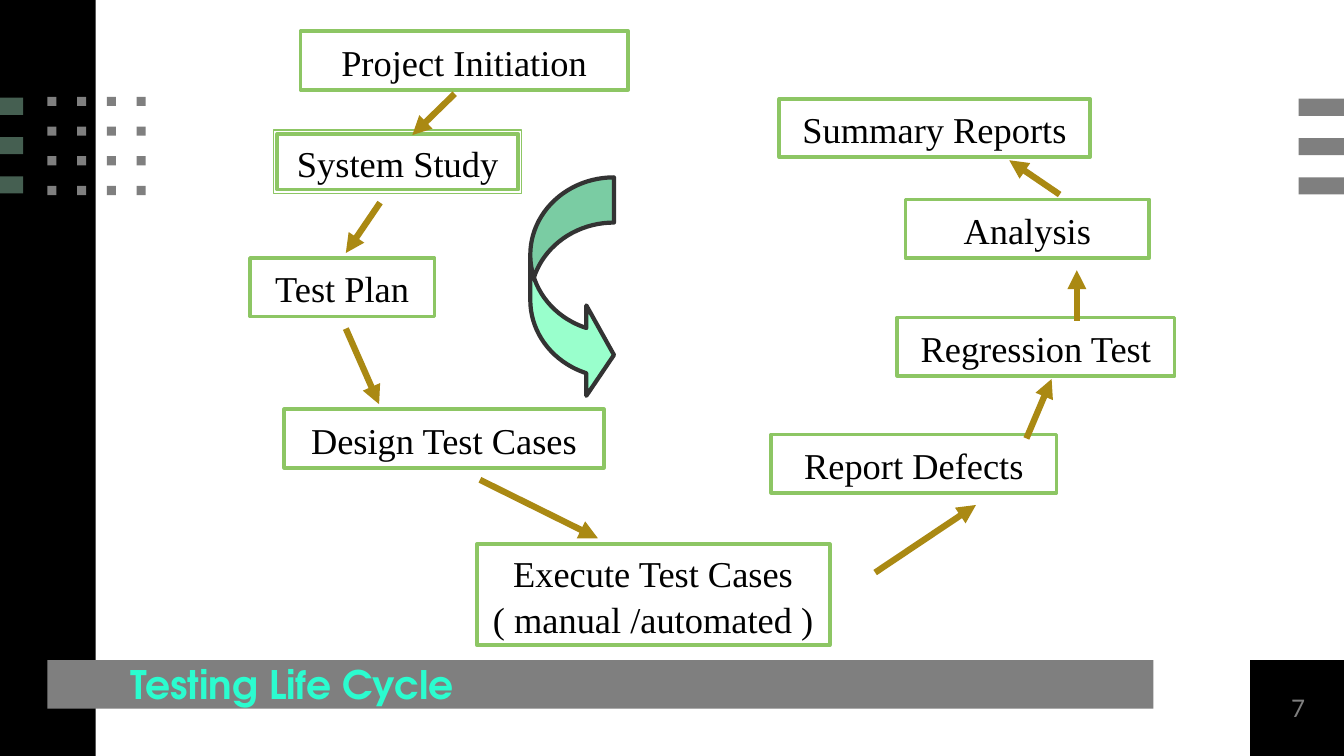
from dataclasses import dataclass
from itertools import product

from lxml import etree
from pptx import Presentation
from pptx.dml.color import RGBColor
from pptx.enum import shapes, text
from pptx.oxml.ns import qn
from pptx.util import Inches, Pt


@dataclass(frozen=True)
class Theme:
    black: str = "000000"
    white: str = "FFFFFF"
    gray: str = "7F7F7F"
    pine: str = "455F51"
    frame: str = "8DC664"
    arrow: str = "AA8913"
    mint: str = "99FFCC"
    ink: str = "333333"
    title: str = "2BFCCF"
    title_font: str = "TeX Gyre Adventor"
    body_font: str = "Times New Roman"
    number_font: str = "Lato"
    title_pt: float = 28
    body_pt: float = 26
    number_pt: float = 17.3
    frame_pt: float = 2.7
    hairline_pt: float = 0.75
    arrow_pt: float = 4.5
    curve_pt: float = 3


T = Theme()
TITLE = "Testing Life Cycle"
PAGE = "7"

# label, (left, top, width, height)
STEPS = [
    ("Project Initiation", (2.98, 0.31, 3.25, 0.58)),
    ("System Study", (2.75, 1.33, 2.39, 0.55)),
    ("Test Plan", (2.48, 2.56, 1.83, 0.58)),
    ("Design Test Cases", (2.82, 4.06, 3.17, 0.58)),
    ("Execute Test Cases\v( manual /automated )", (4.73, 5.4, 3.5, 1)),
    ("Report Defects", (7.65, 4.31, 2.83, 0.58)),
    ("Regression Test", (8.9, 3.15, 2.75, 0.58)),
    ("Analysis", (8.98, 1.98, 2.42, 0.58)),
    ("Summary Reports", (7.73, 0.98, 3.08, 0.58)),
]
STUDY_OUTER_FRAME = (2.71, 1.29, 2.46, 0.63)

# from x, from y, to x, to y
ARROWS = [
    (4.51, 0.93, 4.09, 1.34),
    (3.77, 2.01, 3.43, 2.51),
    (3.43, 3.26, 3.76, 4.01),
    (4.76, 4.76, 5.93, 5.34),
    (8.68, 5.68, 9.68, 5.01),
    (10.18, 4.35, 10.43, 3.76),
    (10.68, 3.18, 10.68, 2.68),
    (10.51, 1.93, 10.01, 1.59),
]

CYCLE_ARROW = (5.26, 1.76, 0.83, 2.21)
CYCLE_ADJUSTMENTS = (0.54, 1.08, 0.33)  # band, head width, head length

SIDE_PANEL = (0, 0, 0.95, 7.5)
TITLE_BAR = (0.47, 6.55, 10.97, 0.48)
TITLE_BOX = (0.95, 6.51, 10.49, 0.48)
PAGE_BOX = (12.4, 6.55, 0.95, 0.95)
STRIPE_PITCH, STRIPE_HEIGHT, STRIPE_COUNT = 0.39, 0.17, 3
STRIPES = [(0, 0.97, 0.23, T.pine), (12.88, 0.98, 0.45, T.gray)]
DOT_ORIGIN, DOT_PITCH, DOT_SIZE, DOT_COUNT = (0.47, 0.96), 0.295, 0.09, 4


def rgb(value):
    return RGBColor.from_string(value)


def add_shape(s, box, fill=None, line=None, width=0,
              kind=shapes.MSO_SHAPE.RECTANGLE):
    sp = s.shapes.add_shape(kind, *map(Inches, box))
    sp.shadow.inherit = False
    if fill:
        sp.fill.solid()
        sp.fill.fore_color.rgb = rgb(fill)
    else:
        sp.fill.background()
    if line:
        sp.line.color.rgb = rgb(line)
        sp.line.width = Pt(width)
    else:
        sp.line.fill.background()
    return sp


def set_text(sp, words, font, size, color, align=text.PP_ALIGN.CENTER):
    """Fill the frame with one paragraph, without insets, and return it."""
    tf = sp.text_frame
    tf.text = words
    tf.word_wrap = True
    tf.auto_size = text.MSO_AUTO_SIZE.NONE
    tf.vertical_anchor = text.MSO_ANCHOR.MIDDLE
    tf.margin_left = tf.margin_right = tf.margin_top = tf.margin_bottom = 0
    p = tf.paragraphs[0]
    p.alignment = align
    p.font.name = font
    p.font.size = Pt(size)
    p.font.color.rgb = rgb(color)
    return p


def add_arrow(s, ends):
    cx = s.shapes.add_connector(shapes.MSO_CONNECTOR.STRAIGHT,
                                *map(Inches, ends))
    cx.line.color.rgb = rgb(T.arrow)
    cx.line.width = Pt(T.arrow_pt)
    etree.SubElement(cx.line._get_or_add_ln(), qn("a:tailEnd"),
                     type="triangle", w="med", len="med")
    etree.SubElement(cx.element.spPr, qn("a:effectLst"))


def add_decoration(s):
    add_shape(s, SIDE_PANEL, T.black)
    add_shape(s, TITLE_BAR, T.gray)
    for (x, y, w, color), i in product(STRIPES, range(STRIPE_COUNT)):
        add_shape(s, (x, y + i * STRIPE_PITCH, w, STRIPE_HEIGHT), color)
    x, y = DOT_ORIGIN
    for row, col in product(range(DOT_COUNT), repeat=2):
        add_shape(s, (x + col * DOT_PITCH, y + row * DOT_PITCH,
                      DOT_SIZE, DOT_SIZE), T.gray)
    page = add_shape(s, PAGE_BOX, T.black)
    set_text(page, PAGE, T.number_font, T.number_pt, T.gray)


def add_title(s):
    title = s.shapes.title
    title.left, title.top, title.width, title.height = map(Inches, TITLE_BOX)
    p = set_text(title, TITLE, T.title_font, T.title_pt, T.title,
                 text.PP_ALIGN.LEFT)
    p.font.bold = True
    p.line_spacing = 1.15
    p.space_before = Pt(4.8)
    title.text_frame.margin_left = Inches(0.34)
    s.shapes.element.append(title.element)  # in front of the title bar


def add_cycle(s):
    add_shape(s, STUDY_OUTER_FRAME, None, T.frame, T.hairline_pt)
    for label, box in STEPS:
        sp = add_shape(s, box, T.white, T.frame, T.frame_pt)
        p = set_text(sp, label, T.body_font, T.body_pt, T.black)
        p.line_spacing = 1.05
    curve = add_shape(s, CYCLE_ARROW, T.mint, T.ink, T.curve_pt,
                      shapes.MSO_SHAPE.CURVED_RIGHT_ARROW)
    for i, value in enumerate(CYCLE_ADJUSTMENTS):
        curve.adjustments[i] = value
    for ends in ARROWS:
        add_arrow(s, ends)


def main():
    prs = Presentation()
    prs.slide_width, prs.slide_height = Inches(13.33), Inches(7.5)
    s = prs.slides.add_slide(prs.slide_layouts.get_by_name("Title Only"))
    add_decoration(s)
    add_title(s)
    add_cycle(s)
    prs.save("out.pptx")


if __name__ == "__main__":
    main()
